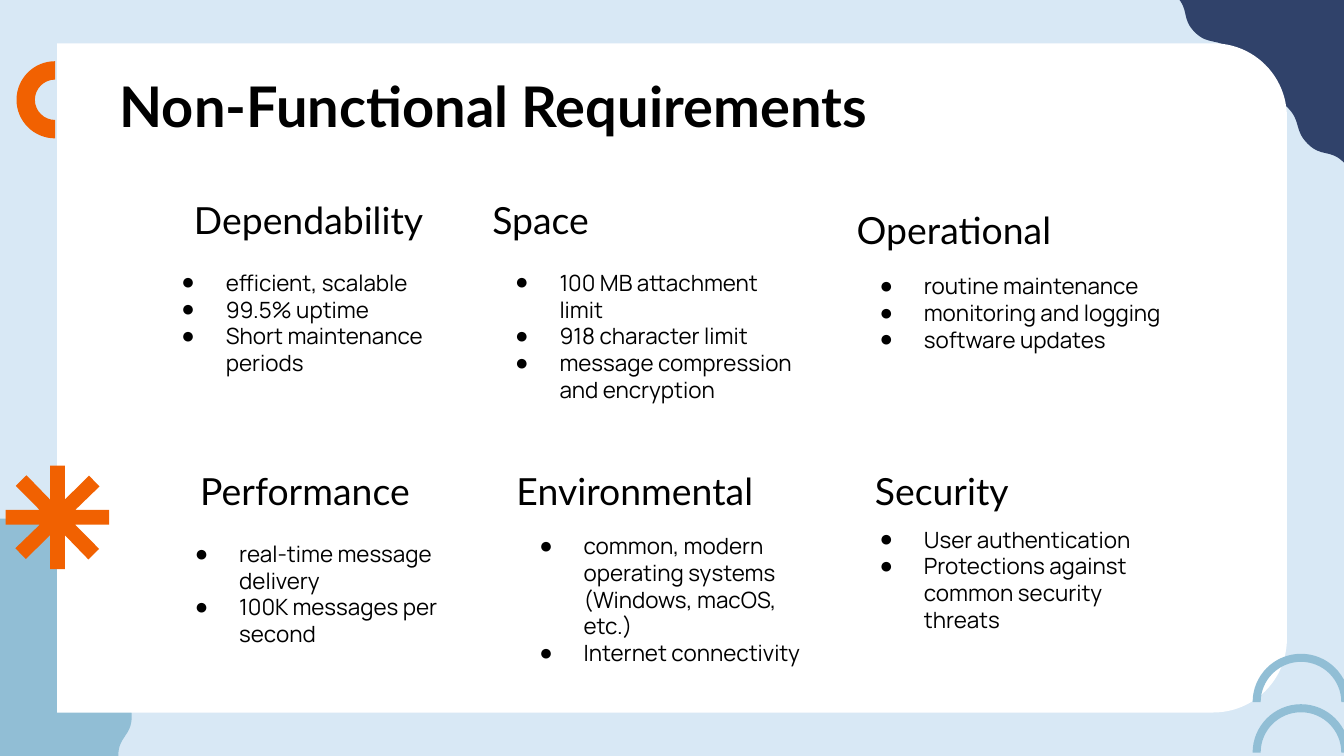
import copy
import math
from dataclasses import dataclass

import pptx
import pptx.dml.color
import pptx.enum.shapes
import pptx.enum.text
import pptx.oxml
import pptx.oxml.ns
import pptx.util

ALIGN = pptx.enum.text.PP_ALIGN
ANCHOR = pptx.enum.text.MSO_ANCHOR
COLUMNS, ROWS = 100, 56.25


@dataclass(frozen=True)
class Theme:
    sky: str = "D8E8F5"
    navy: str = "30426A"
    steel: str = "91BED5"
    orange: str = "F16101"
    white: str = "FFFFFF"
    ink: str = "000000"
    head_font: str = "Lato"
    list_font: str = "Manrope"
    title_size: int = 30
    head_size: int = 20
    list_size: int = 12


class Deck:
    def __init__(self, theme, bodies):
        self.theme = theme
        self.prs = pptx.Presentation()
        self.prs.slide_width = pptx.util.Inches(10)
        self.prs.slide_height = pptx.util.Inches(5.625)
        self.unit = self.prs.slide_width / COLUMNS
        layout = self.prs.slide_layouts[1]
        body = layout.placeholders[1].element
        for n in range(1, bodies):
            twin = copy.deepcopy(body)
            twin.find(".//" + pptx.oxml.ns.qn("p:cNvPr")).set("id", str(100 + n))
            twin.find(".//" + pptx.oxml.ns.qn("p:ph")).set("idx", str(100 + n))
            body.getparent().append(twin)
        self.s = self.prs.slides.add_slide(layout)
        self.bodies = [ph for ph in self.s.placeholders if ph.placeholder_format.idx]
        self.paint(self.s.background, theme.sky)

    def paint(self, item, color):
        item.fill.solid()
        item.fill.fore_color.rgb = pptx.dml.color.RGBColor.from_string(color)

    def finish(self, sp, color):
        self.paint(sp, color)
        sp.line.fill.background()
        sp.shadow.inherit = False

    def emu(self, values):
        return [round(v * self.unit) for v in values]

    def outline(self, segments, color):
        ends = [self.emu(seg[-1]) for seg in segments]
        builder = self.s.shapes.build_freeform(*ends[0], scale=1)
        builder.add_line_segments(ends[1:], close=True)
        sp = builder.convert_to_shape()
        lines = list(sp.element.iter(pptx.oxml.ns.qn("a:lnTo")))
        for line, seg in zip(lines, segments[1:]):
            if len(seg) == 3:
                spots = [self.emu(point) for point in seg]
                pts = "".join(f'<a:pt x="{x - sp.left}" y="{y - sp.top}"/>' for x, y in spots)
                bend = f'<a:cubicBezTo {pptx.oxml.ns.nsdecls("a")}>{pts}</a:cubicBezTo>'
                line.getparent().replace(line, pptx.oxml.parse_xml(bend))
        self.finish(sp, color)

    def arch(self, cx, cy, outer, inner, start, color):
        rim = arc(cx, cy, outer, start, 90)
        hollow = arc(cx, cy, inner, start + 180, -90)
        self.outline(rim + hollow, color)

    def panel(self, left, top, width, height, corner):
        mid_x, mid_y = left + width / 2, top + height / 2
        box = (mid_x - height / 2, mid_y - width / 2, height, width)
        kind = pptx.enum.shapes.MSO_SHAPE.ROUND_2_SAME_RECTANGLE
        sp = self.s.shapes.add_shape(kind, *self.emu(box))
        sp.rotation = 90
        sp.adjustments[0], sp.adjustments[1] = corner, 0
        self.finish(sp, self.theme.white)

    def fill_text(self, sp, box, lines, font, size, anchor=ANCHOR.TOP,
                  align=ALIGN.LEFT, bold=False, bullets=False):
        sp.left, sp.top, sp.width, sp.height = self.emu(box)
        sp.element.getparent().append(sp.element)
        tf = sp.text_frame
        tf.word_wrap = True
        tf.auto_size = pptx.enum.text.MSO_AUTO_SIZE.NONE
        tf.vertical_anchor = anchor
        tf.margin_left = tf.margin_right = tf.margin_top = tf.margin_bottom = round(self.unit)
        for n, line in enumerate(lines):
            p = tf.add_paragraph() if n else tf.paragraphs[0]
            self.mark(p, bullets)
            p.alignment = align
            p.space_before = pptx.util.Pt(0)
            r = p.add_run()
            r.text = line
            r.font.name, r.font.size, r.font.bold = font, pptx.util.Pt(size), bold
            r.font.color.rgb = pptx.dml.color.RGBColor.from_string(self.theme.ink)

    def mark(self, p, bullets):
        pPr = p._p.get_or_add_pPr()
        pPr.set("marL", str(round(5 * self.unit) if bullets else 0))
        pPr.set("indent", str(round(-3.3 * self.unit) if bullets else 0))
        ns = pptx.oxml.ns.nsdecls("a")
        parts = [f"<a:buNone {ns}/>"]
        if bullets:
            parts = [
                f'<a:buClr {ns}><a:srgbClr val="{self.theme.ink}"/></a:buClr>',
                f'<a:buChar {ns} char="●"/>',
            ]
        for part in parts:
            pPr.append(pptx.oxml.parse_xml(part))

    def title(self, box, text):
        self.fill_text(self.s.shapes.title, box, [text], self.theme.head_font,
                       self.theme.title_size, bold=True)

    def heading(self, box, text, align):
        self.fill_text(self.bodies.pop(0), box, [text], self.theme.head_font,
                       self.theme.head_size, anchor=ANCHOR.BOTTOM, align=align)

    def bullets(self, box, lines):
        self.fill_text(self.bodies.pop(0), box, lines, self.theme.list_font,
                       self.theme.list_size, bullets=True)


def arc(cx, cy, radius, start, turn):
    pull = 4 / 3 * math.tan(math.radians(turn) / 4)
    spokes = [math.radians(start + turn * n) for n in range(3)]
    rays = [(math.cos(a) * radius, math.sin(a) * radius) for a in spokes]
    segments = [[(cx + rays[0][0], cy + rays[0][1])]]
    for (x0, y0), (x, y) in zip(rays, rays[1:]):
        segments.append([(cx + x0 - pull * y0, cy + y0 + pull * x0),
                         (cx + x + pull * y, cy + y - pull * x), (cx + x, cy + y)])
    return segments


def corner_cloud():
    segments = [[(87.5, -0.3)], [(100, -0.3)], [(100, 12.1)]]
    stops = [(97.3, 10.7), (95.8, 8), (93.1, 6.6), (91.7, 3.8), (88.9, 2.4), (87.5, -0.3)]
    for x, y in stops:
        x0, y0 = segments[-1][-1]
        segments.append([(x0 - 1.04, y0 - 1.04), (x + 1.04, y + 1.04), (x, y)])
    return segments


def side_wave():
    segments = [[(0, ROWS)], [(8.8, ROWS)]]
    step = (ROWS - 38.6) / 6
    for n in range(6):
        x0, y0 = segments[-1][-1]
        x, middle = (8.8 if n % 2 else 9.8), y0 - step / 2
        segments.append([(x0, middle), (x, middle), (x, y0 - step)])
    return segments + [[(0, 38.6)]]


def star(cx, cy):
    arm = [(-0.55, -3.85), (0.55, -3.85), (0.55, -1.32), (2.35, -3.1), (3.13, -2.3), (1.32, -0.55)]
    segments = []
    for _ in range(4):
        segments += [[(cx + x, cy + y)] for x, y in arm]
        arm = [(-y, x) for x, y in arm]
    return segments


TOPICS = [
    ("Dependability", (9.1, 12.9, 23.4, 6.1), ALIGN.RIGHT, (10.8, 19, 22, 11.2),
     ["efficient, scalable", "99.5% uptime", "Short maintenance periods"]),
    ("Space", (35.63, 12.9, 20.7, 6.1), ALIGN.LEFT, (35.63, 19, 25.3, 10),
     ["100 MB attachment limit", "918 character limit", "message compression and encryption"]),
    ("Operational", (62.74, 13.64, 23.4, 6.1), ALIGN.LEFT, (62.74, 19.24, 24.8, 8.1),
     ["routine maintenance", "monitoring and logging", "software updates"]),
    ("Performance", (10.8, 33.1, 20.7, 6.1), ALIGN.RIGHT, (11.8, 39.17, 22, 13.1),
     ["real-time message delivery", "100K messages per second"]),
    ("Environmental", (37.43, 33.1, 26.9, 6.1), ALIGN.LEFT, (37.43, 38.58, 23.4, 11.2),
     ["common, modern operating systems (Windows, macOS, etc.)", "Internet connectivity"]),
    ("Security", (64.1, 33.1, 20.7, 6.1), ALIGN.LEFT, (62.74, 38.12, 24.8, 10.5),
     ["User authentication", "Protections against common security threats"]),
]


def main():
    theme = Theme()
    deck = Deck(theme, bodies=2 * len(TOPICS))
    deck.outline(corner_cloud(), theme.navy)
    deck.outline(side_wave(), theme.steel)
    deck.arch(4.1, 7.43, 2.87, 1.5, 90, theme.orange)
    deck.panel(4.25, 3.22, 91.5, 49.8, 0.11)
    deck.title((7.9, 4.3, 84.3, 6.3), "Non-Functional Requirements")
    deck.outline(star(4.28, 38.5), theme.orange)
    for cy in (52.25, 56):
        deck.arch(96.8, cy, 3.6, 3, 180, theme.steel)
    for name, head_box, align, list_box, lines in TOPICS:
        deck.heading(head_box, name, align)
        deck.bullets(list_box, lines)
    deck.prs.save("out.pptx")


if __name__ == "__main__":
    main()
